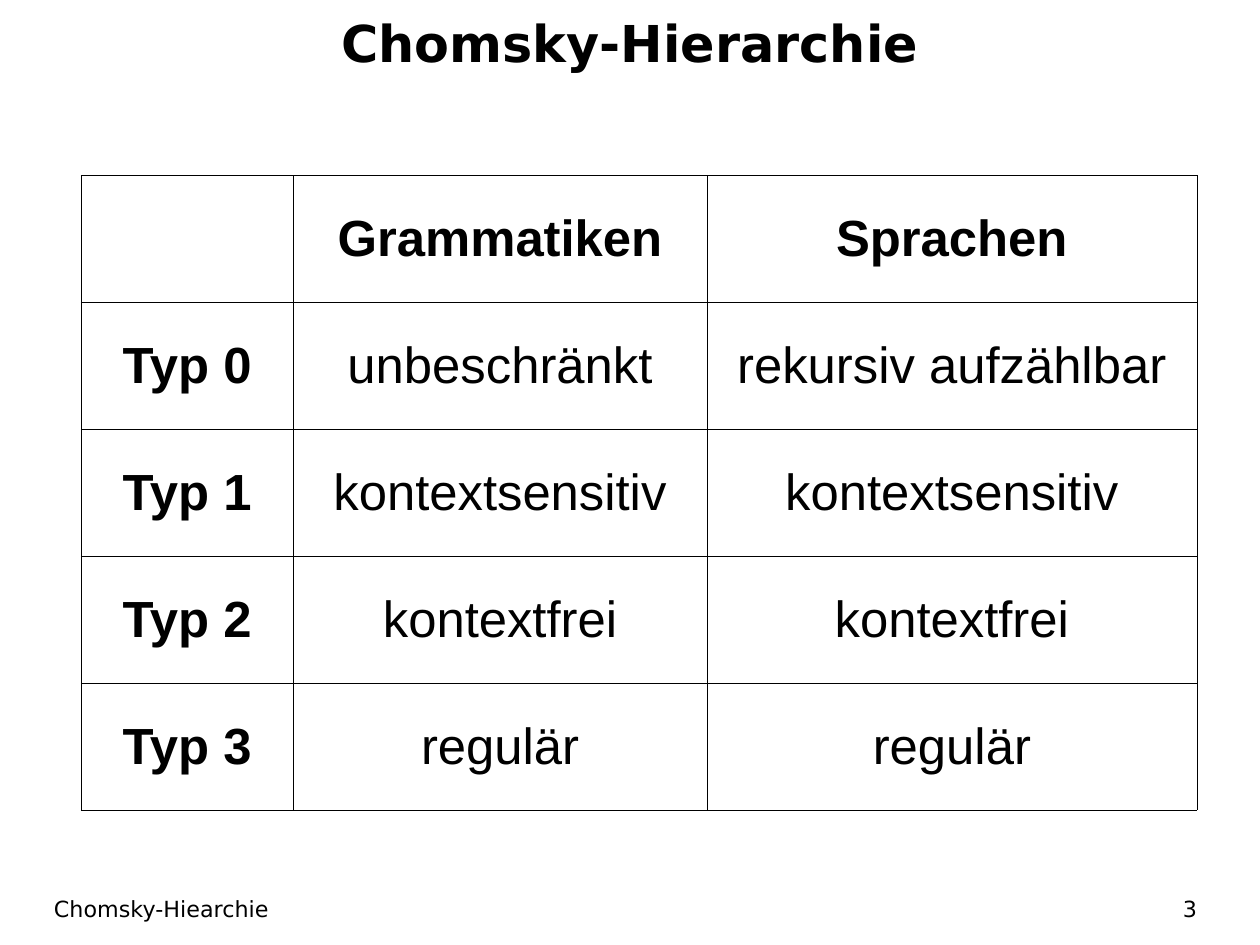
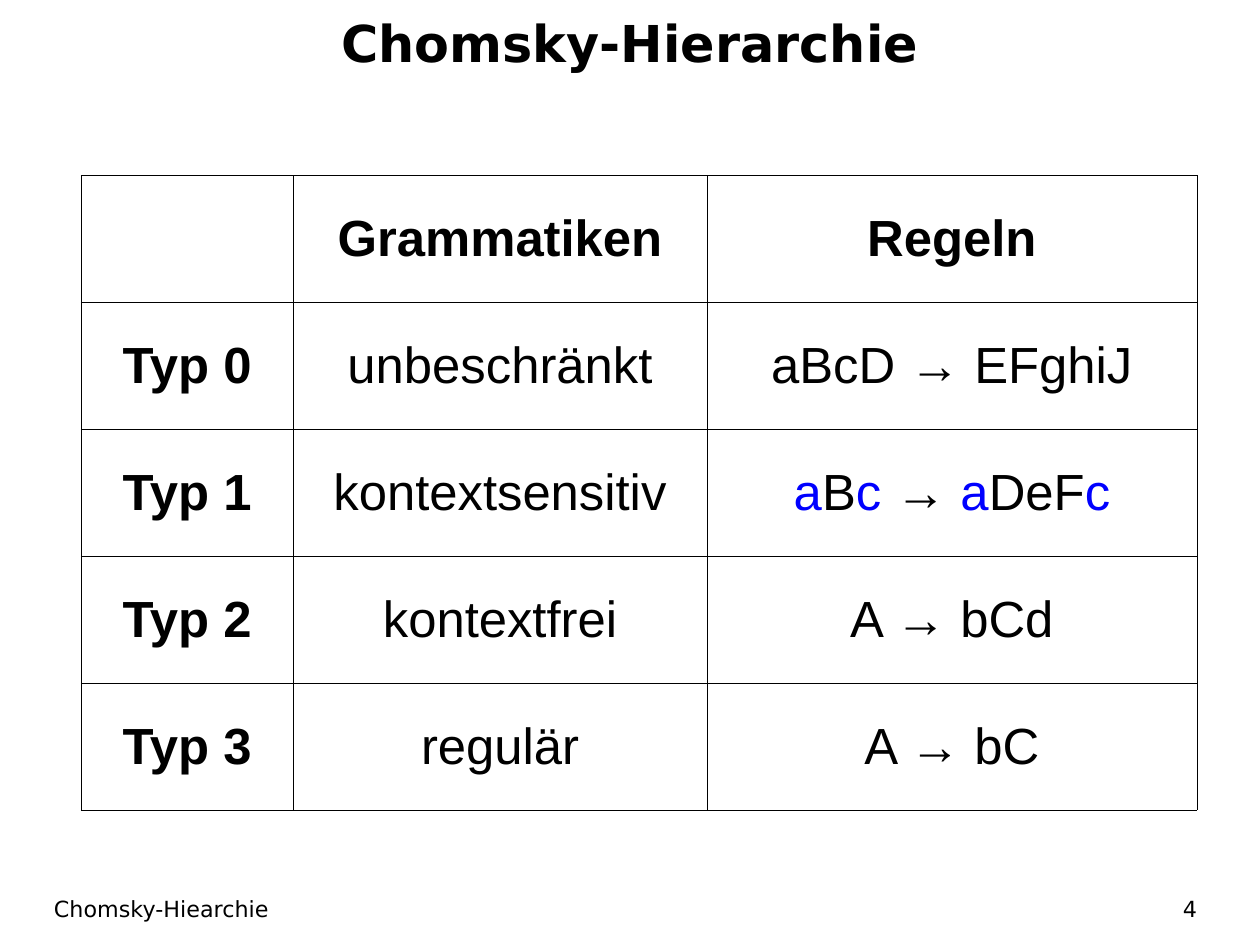
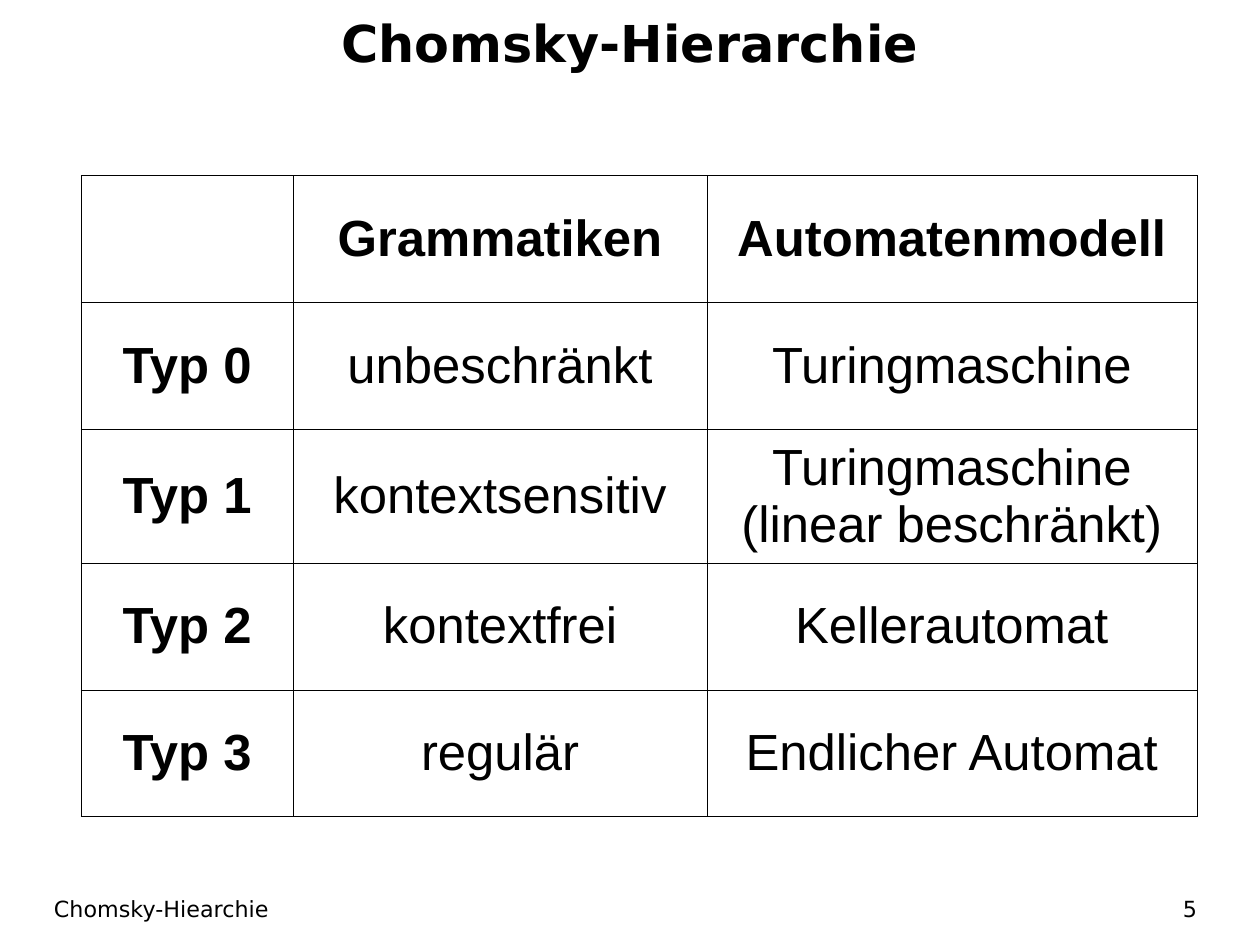
from lxml.etree import SubElement
from pptx import Presentation
from pptx.dml.color import RGBColor
from pptx.enum.text import MSO_ANCHOR as Anchor, PP_ALIGN as Align
from pptx.oxml import parse_xml
from pptx.oxml.ns import nsdecls, qn
from pptx.util import Emu, Pt

PX = 3600  # EMU per px, 100 px to the centimetre
WIDTH, HEIGHT = 2800, 2100
BLACK = RGBColor(0x00, 0x00, 0x00)
BLUE = RGBColor(0x00, 0x00, 0xFF)
BORDER_EMU = 762
COLUMNS = (472, 919, 1089)
ROW_HEIGHT = 282
FOOTER_TOP, FOOTER_HEIGHT = 1980, 78
GRAMMARS = ("unbeschränkt", "kontextsensitiv", "kontextfrei", "regulär")
FIRST_NUMBER = 3

# Last column of each slide: heading, then types 0 to 3.
# Parts between asterisks are highlighted.
LAST_COLUMNS = (
    ("Sprachen", "rekursiv aufzählbar", "kontextsensitiv", "kontextfrei", "regulär"),
    ("Regeln", "aBcD → EFghiJ", "*a*B*c* → *a*DeF*c*", "A → bCd", "A → bC"),
    ("Automatenmodell", "Turingmaschine", "Turingmaschine\n(linear beschränkt)",
     "Kellerautomat", "Endlicher Automat"),
)


def px(length):
    return Emu(length * PX)


class Slides:
    title_font = "DejaVu Sans"
    table_font = "Arial"
    large, small = 32, 14

    def __init__(self):
        self.deck = Presentation()
        self.deck.slide_width, self.deck.slide_height = px(WIDTH), px(HEIGHT)
        self.page = None

    def new_page(self, number):
        self.page = self.deck.slides.add_slide(self.deck.slide_layouts[6])
        self.text("Chomsky-Hierarchie", 0, 8, WIDTH, 170, self.large, Align.CENTER, True)
        self.text("Chomsky-Hiearchie", 120, FOOTER_TOP, 1725, FOOTER_HEIGHT, self.small)
        self.text(str(number), 2007, FOOTER_TOP, 653, FOOTER_HEIGHT, self.small, Align.RIGHT)

    def style(self, font, name, size, bold=False, color=BLACK):
        font.name, font.size, font.bold = name, Pt(size), bold
        font.color.rgb = color

    def text(self, words, left, top, width, height, size, align=Align.LEFT, bold=False):
        box = self.page.shapes.add_textbox(px(left), px(top), px(width), px(height))
        frame = box.text_frame
        frame.word_wrap = True
        frame.vertical_anchor = Anchor.MIDDLE
        frame.margin_left = frame.margin_right = 0
        frame.margin_top = frame.margin_bottom = 0
        frame.text = words
        para = frame.paragraphs[0]
        para.alignment = align
        self.style(para.runs[0].font, self.title_font, size, bold)

    def table(self, rows, left, top):
        table = self.page.shapes.add_table(
            len(rows), len(COLUMNS), px(left), px(top),
            px(sum(COLUMNS)), px(ROW_HEIGHT * len(rows))).table
        table.first_row = table.horz_banding = False
        for column, width in zip(table.columns, COLUMNS):
            column.width = px(width)
        for row_index, row in enumerate(rows):
            table.rows[row_index].height = px(ROW_HEIGHT)
            for column_index, words in enumerate(row):
                is_heading = row_index == 0 or column_index == 0
                self.cell(table.cell(row_index, column_index), words, is_heading)

    def cell(self, cell, words, bold):
        cell.fill.background()
        cell.vertical_anchor = Anchor.MIDDLE
        self.borders(cell)
        frame = cell.text_frame
        frame.text = words.replace("*", "")
        for para, line in zip(frame.paragraphs, words.split("\n")):
            para.alignment = Align.CENTER
            if "*" in line:
                para.clear()
            for index, part in enumerate(line.split("*")):
                if not part:
                    continue
                span = para.add_run() if "*" in line else para.runs[0]
                span.text = part
                color = BLUE if index % 2 else BLACK
                self.style(span.font, self.table_font, self.large, bold, color)

    def borders(self, cell):
        properties = cell._tc.get_or_add_tcPr()
        for position, side in enumerate("LRTB"):
            line = parse_xml(f'<a:ln{side} {nsdecls("a")} w="{BORDER_EMU}"/>')
            fill = SubElement(line, qn("a:solidFill"))
            SubElement(fill, qn("a:srgbClr"), val=str(BLACK))
            properties.insert(position, line)


def main():
    slides = Slides()
    types = [f"Typ {level}" for level in range(len(GRAMMARS))]
    for number, last_column in enumerate(LAST_COLUMNS, FIRST_NUMBER):
        slides.new_page(number)
        rows = list(zip(["", *types], ["Grammatiken", *GRAMMARS], last_column))
        slides.table(rows, 180, 390)
    slides.deck.save("out.pptx")


if __name__ == "__main__":
    main()
